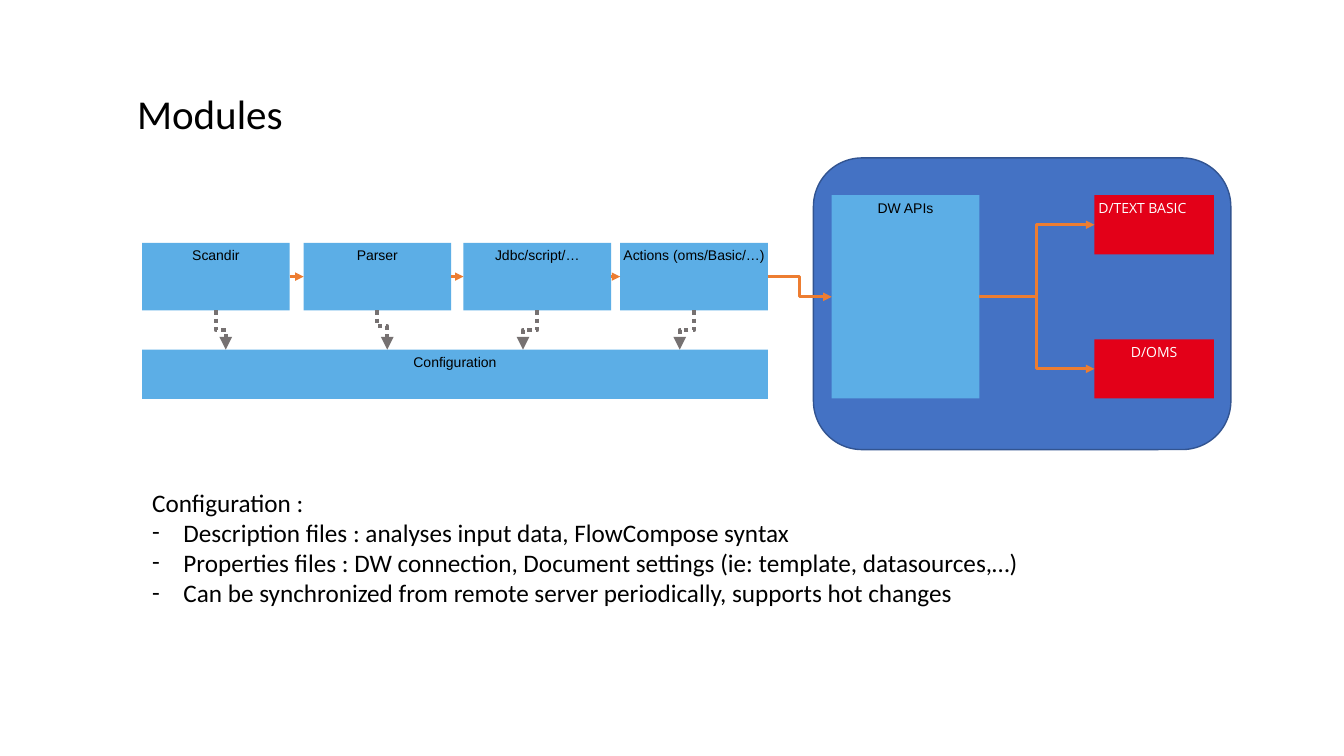
from lxml.etree import SubElement
from pptx import Presentation
from pptx.dml.color import RGBColor
from pptx.enum.dml import MSO_LINE
from pptx.enum.shapes import MSO_CONNECTOR, MSO_SHAPE
from pptx.enum.text import MSO_ANCHOR, MSO_AUTO_SIZE, PP_ALIGN
from pptx.oxml.ns import qn
from pptx.util import Cm, Pt

BLACK = RGBColor(0x00, 0x00, 0x00)
WHITE = RGBColor(0xFF, 0xFF, 0xFF)
SKY = RGBColor(0x5C, 0xAE, 0xE6)
BLUE = RGBColor(0x44, 0x72, 0xC4)
NAVY = RGBColor(0x32, 0x54, 0x91)
RED = RGBColor(0xE3, 0x00, 0x18)
ORANGE = RGBColor(0xED, 0x7D, 0x31)
GREY = RGBColor(0x76, 0x71, 0x71)

STEP_W, STEP_H = 3.72, 1.7
# Step name, offset from the left of the row, sideways shift of its arrow, bend
STEPS = [
    ("Scandir", 0, 0.25, 0.5),
    ("Parser", 4.07, 0.25, 0.41),
    ("Jdbc/script/…", 8.1, -0.36, 0.5),
    ("Actions (oms/Basic/…)", 12.05, -0.36, 0.5),
]
NOTES = [
    "Configuration :",
    "Description files : analyses input data, FlowCompose syntax",
    "Properties files : DW connection, Document settings "
    "(ie: template, datasources,…)",
    "Can be synchronized from remote server periodically, supports hot changes",
]


def style(font, name, size, color):
    font.name, font.size = name, Pt(size)
    font.color.rgb = color


def place(shape, left, top, width, height):
    shape.left, shape.top = Cm(left), Cm(top)
    shape.width, shape.height = Cm(width), Cm(height)


def add_block(slide, box, fill, text, font="Arial", color=BLACK,
              align=PP_ALIGN.CENTER):
    """Add a square-cornered block with its label at the top."""
    block = slide.shapes.add_shape(MSO_SHAPE.ROUNDED_RECTANGLE, *map(Cm, box))
    block.adjustments[0] = 0
    block.shadow.inherit = False
    block.fill.solid()
    block.fill.fore_color.rgb = fill
    block.line.fill.background()
    frame = block.text_frame
    frame.margin_left = frame.margin_right = Cm(0.1)
    frame.margin_top = frame.margin_bottom = Cm(0.1)
    frame.word_wrap = False
    frame.vertical_anchor = MSO_ANCHOR.TOP
    frame.text = text
    label = frame.paragraphs[0]
    label.alignment = align
    style(label.runs[0].font, font, 10, color)


def add_arrow(slide, start, end, color=ORANGE, width=2):
    level = start[1] == end[1]
    kind = MSO_CONNECTOR.STRAIGHT if level else MSO_CONNECTOR.ELBOW
    arrow = slide.shapes.add_connector(kind, *map(Cm, (*start, *end)))
    arrow.line.color.rgb = color
    arrow.line.width = Pt(width)
    SubElement(arrow.line._get_or_add_ln(), qn("a:tailEnd"), type="triangle")
    SubElement(arrow._element.spPr, qn("a:effectLst"))
    return arrow


def add_drop(slide, x, top, shift, depth, bend):
    """Add a dotted arrow that leaves downwards, steps sideways and goes on."""
    mid_x, mid_y = x + shift / 2, top + depth / 2
    side = 1 if shift > 0 else -1
    run, rise = side * depth / 2, abs(shift) / 2
    drop = add_arrow(slide, (mid_x + run, mid_y - rise),
                     (mid_x - run, mid_y + rise), GREY, 3)
    drop.line.dash_style = MSO_LINE.ROUND_DOT
    props = drop._element.spPr
    props.find(qn("a:xfrm")).set("rot", str((270 if side > 0 else 90) * 60000))
    guides = props.find(qn("a:prstGeom")).get_or_add_avLst()
    SubElement(guides, qn("a:gd"), name="adj1", fmla=f"val {bend * 100000:.0f}")


def add_title(slide, box):
    title = slide.shapes.title
    place(title, *box)
    frame = title.text_frame
    frame.text = "Modules"
    frame.auto_size = MSO_AUTO_SIZE.NONE
    frame.vertical_anchor = MSO_ANCHOR.MIDDLE
    line = frame.paragraphs[0]
    line.alignment = PP_ALIGN.LEFT
    line.line_spacing = 0.9
    style(line.runs[0].font, "Calibri", 29.3, BLACK)


def add_flow(slide, box):
    """Add the row of steps above the configuration bar."""
    left, top, width, height = box
    bar = 1.24
    add_block(slide, (left, top + height - bar, width, bar), SKY,
              "Configuration")
    gap = height - bar - STEP_H
    mid = top + STEP_H / 2
    for name, offset, shift, bend in STEPS:
        x = left + offset
        add_block(slide, (x, top, STEP_W, STEP_H), SKY, name)
        add_drop(slide, x + STEP_W / 2, top + STEP_H, shift, gap, bend)
    for (_, before, *_), (_, after, *_) in zip(STEPS, STEPS[1:]):
        add_arrow(slide, (left + before + STEP_W, mid), (left + after, mid))
    return left + width, mid


def add_suite(slide, box):
    """Add the rounded panel and return the point where arrows enter it."""
    left, top, width, height = box
    panel = slide.shapes.add_shape(MSO_SHAPE.ROUNDED_RECTANGLE, *map(Cm, box))
    panel.shadow.inherit = False
    panel.fill.solid()
    panel.fill.fore_color.rgb = BLUE
    panel.line.color.rgb = NAVY
    panel.line.width = Pt(1)

    api_x, api_y, api_h = left + 0.46, top + 0.94, 5.12
    mid = api_y + api_h / 2
    add_block(slide, (api_x, api_y, STEP_W, api_h), SKY, "DW APIs")

    out_w, out_h = 3.01, 1.49
    out_x = left + width - 0.43 - out_w
    outputs = [
        ("D/TEXT BASIC", api_y, PP_ALIGN.LEFT),
        ("D/OMS", api_y + api_h - out_h, PP_ALIGN.CENTER),
    ]
    for name, y, align in outputs:
        add_block(slide, (out_x, y, out_w, out_h), RED, name, "Open Sans",
                  WHITE, align)
        add_arrow(slide, (api_x + STEP_W, mid), (out_x, y + out_h / 2))
    return api_x, mid


def add_notes(slide, box):
    body = slide.placeholders[1]
    place(body, *box)
    frame = body.text_frame
    frame.text = "\n".join(NOTES)
    frame.auto_size = MSO_AUTO_SIZE.NONE
    frame.vertical_anchor = MSO_ANCHOR.TOP
    for i, line in enumerate(frame.paragraphs):
        line.space_before = Pt(0)
        props = line._p.get_or_add_pPr()
        indent = Cm(0.79) if i else 0
        props.set("marL", str(indent))
        props.set("indent", str(-indent))
        if i:
            SubElement(props, qn("a:buFont"), typeface="Calibri")
            SubElement(props, qn("a:buChar"), char="-")
        else:
            SubElement(props, qn("a:buNone"))
        style(line.runs[0].font, "Calibri", 18, BLACK)


def main():
    deck = Presentation()
    deck.slide_width, deck.slide_height = Cm(33.87), Cm(19.05)
    slide = deck.slides.add_slide(deck.slide_layouts[1])
    add_title(slide, (3.2, 2.24, 30.67, 1.4))
    entry = add_suite(slide, (20.5, 3.98, 10.52, 7.35))
    leave = add_flow(slide, (3.58, 6.12, 15.77, 3.93))
    add_arrow(slide, leave, entry)
    add_notes(slide, (3.58, 12.14, 27, 3.33))
    deck.save("out.pptx")


if __name__ == "__main__":
    main()
